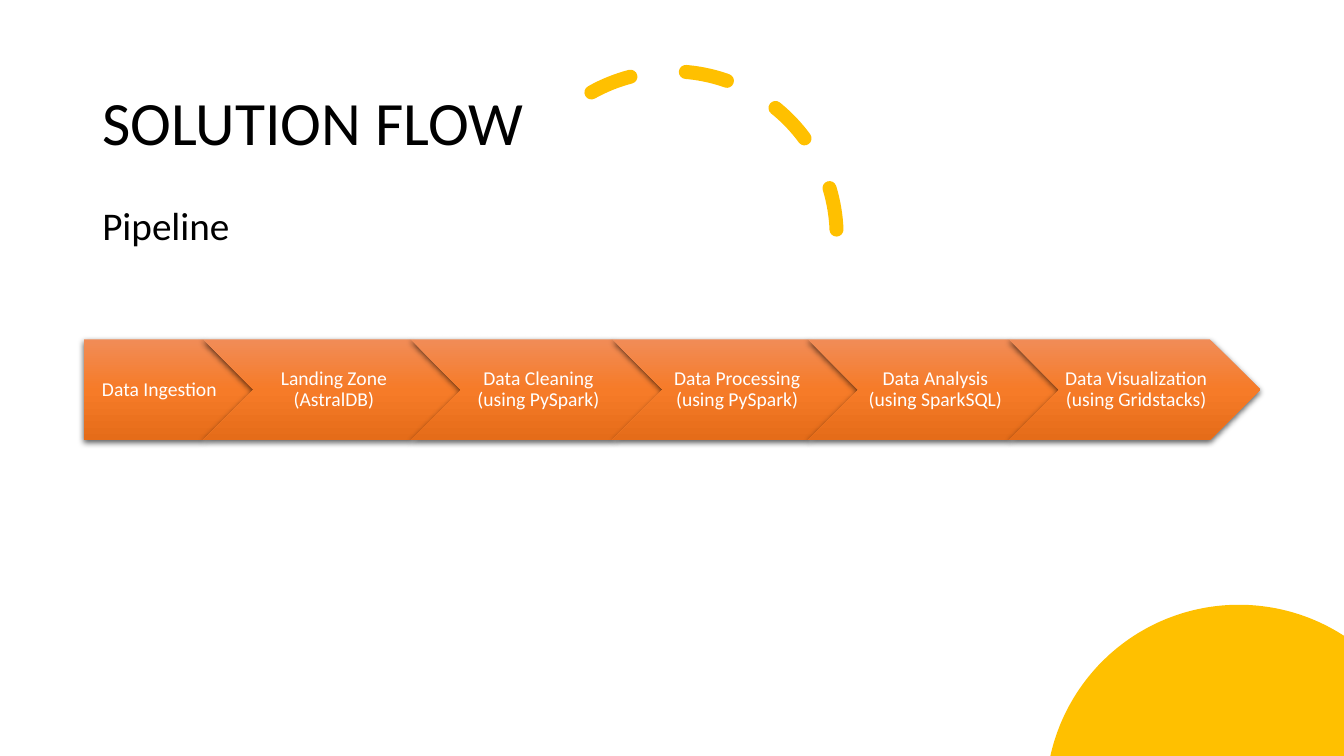
import copy
import math
from dataclasses import dataclass

from lxml import etree
from pptx import Presentation, util as u
from pptx.dml.color import RGBColor
from pptx.enum import dml, shapes, text
from pptx.oxml.ns import qn


@dataclass(frozen=True)
class Theme:
    font: str = "Calibri"
    ink: str = "000000"
    paper: str = "FFFFFF"
    accent: str = "FFC000"
    step_gradient: tuple = ((0, "F18C57"), (0.5, "F67B28"), (1, "E56C19"))
    title_size: int = 44
    body_size: int = 28
    step_size: int = 14
    arc_weight: int = 10


COLUMNS, ROWS = 160, 90
STEPS = [
    ("Data Ingestion", 20.2),
    ("Landing Zone (AstralDB)", 30.7),
    ("Data Cleaning (using PySpark)", 30),
    ("Data Processing (using PySpark)", 29.3),
    ("Data Analysis (using SparkSQL)", 29.9),
    ("Data Visualization (using Gridstacks)", 29.9),
]


class SlideBuilder:
    """Draws on one slide, measuring in cells of a 160 by 90 grid."""

    def __init__(self, deck, theme):
        self.theme = theme
        self.cell = deck.slide_height / ROWS
        self.page = deck.slides.add_slide(deck.slide_layouts[6])

    def cells(self, *lengths):
        return [u.Emu(round(length * self.cell)) for length in lengths]

    def fill_frame(self, frame, words, size, color, align, anchor, insets):
        """Put styled words in a text frame; insets are points for left, top, right, bottom."""
        left, top, right, bottom = (u.Pt(inset) for inset in insets)
        frame_format = {
            "word_wrap": True, "vertical_anchor": anchor,
            "margin_left": left, "margin_top": top,
            "margin_right": right, "margin_bottom": bottom,
        }
        for name, value in frame_format.items():
            setattr(frame, name, value)
        para = frame.paragraphs[0]
        for name, value in {"alignment": align, "line_spacing": 0.9}.items():
            setattr(para, name, value)
        span = para.add_run()
        span.text = words
        for name, value in {"name": self.theme.font, "size": u.Pt(size)}.items():
            setattr(span.font, name, value)
        span.font.color.rgb = RGBColor.from_string(color)
        return para

    def text_box(self, words, place, size, anchor):
        box = self.page.shapes.add_textbox(*self.cells(*place))
        return self.fill_frame(box.text_frame, words, size, self.theme.ink,
                               text.PP_ALIGN.LEFT, anchor, (7.2, 3.6, 7.2, 3.6))

    def corner_disc(self, center_x, center_y, radius):
        """Draw the part of a disc that lies inside the bottom right corner."""
        start = math.pi + math.asin((center_y - ROWS) / radius)
        end = 2 * math.pi - math.acos((COLUMNS - center_x) / radius)
        count = 90
        angles = [start + (end - start) * i / count for i in range(count + 1)]
        rim = [self.cells(center_x + radius * math.cos(angle),
                          center_y + radius * math.sin(angle)) for angle in angles]
        outline = self.page.shapes.build_freeform(*rim[0])
        outline.add_line_segments(rim[1:] + [self.cells(COLUMNS, ROWS)], close=True)
        disc = outline.convert_to_shape()
        disc.shadow.inherit = False
        disc.fill.solid()
        disc.fill.fore_color.rgb = RGBColor.from_string(self.theme.accent)
        disc.line.fill.background()

    def dashed_arc(self, left, top, size, start_degrees):
        arc = self.page.shapes.add_shape(
            shapes.MSO_SHAPE.ARC, *self.cells(left, top, size, size))
        arc.adjustments[0] = start_degrees * 0.6
        arc.adjustments[1] = 0
        arc.shadow.inherit = False
        arc.fill.background()
        arc.line.color.rgb = RGBColor.from_string(self.theme.accent)
        arc.line.width = u.Pt(self.theme.arc_weight)
        arc.line.dash_style = dml.MSO_LINE.DASH
        arc.element.spPr.find(qn("a:ln")).set("cap", "rnd")

    def paint_step(self, shape):
        fill = shape.fill
        fill.gradient()
        fill.gradient_angle = 270
        stops = shape.element.spPr.find(".//" + qn("a:gsLst"))
        stops.insert(1, copy.deepcopy(stops[0]))
        for stop, (position, color) in zip(fill.gradient_stops, self.theme.step_gradient):
            stop.position = position
            stop.color.rgb = RGBColor.from_string(color)
        shape.line.fill.background()

    def drop_shadow(self, shape):
        shape.shadow.inherit = False
        effects = shape.element.spPr.find(qn("a:effectLst"))
        shadow = etree.SubElement(
            effects, qn("a:outerShdw"), blurRad=str(u.Pt(4.5)), dist=str(u.Pt(1.5)),
            dir="5400000", algn="ctr", rotWithShape="0")
        color = etree.SubElement(shadow, qn("a:srgbClr"), val=self.theme.ink)
        etree.SubElement(color, qn("a:alpha"), val="63000")

    def pipeline(self, steps, left, top, height):
        """Chain arrows so that each point fits the notch of the next."""
        for index, (words, width) in enumerate(steps):
            kind = shapes.MSO_SHAPE.CHEVRON if index else shapes.MSO_SHAPE.PENTAGON
            step = self.page.shapes.add_shape(
                kind, *self.cells(left, top, width, height))
            self.paint_step(step)
            self.drop_shadow(step)
            self.fill_frame(step.text_frame, words, self.theme.step_size,
                            self.theme.paper, text.PP_ALIGN.CENTER,
                            text.MSO_ANCHOR.MIDDLE, (4 if index else 6, 3, 1.5, 3))
            left += width - height / 2


def main():
    deck = Presentation()
    deck.slide_width, deck.slide_height = u.Inches(40 / 3), u.Inches(7.5)
    theme = Theme()
    slide = SlideBuilder(deck, theme)
    slide.corner_disc(147.5, 95, 23)
    slide.dashed_arc(60.4, 8.5, 39.2, 240.7)
    slide.text_box("SOLUTION FLOW", (11, 6.2, 69, 17.4), theme.title_size,
                   text.MSO_ANCHOR.MIDDLE)
    body = slide.text_box("Pipeline", (11, 24, 138, 57), theme.body_size,
                          text.MSO_ANCHOR.TOP)
    body.space_before = u.Pt(10)
    slide.pipeline(STEPS, left=10, top=40.4, height=12)
    deck.save("out.pptx")


if __name__ == "__main__":
    main()
